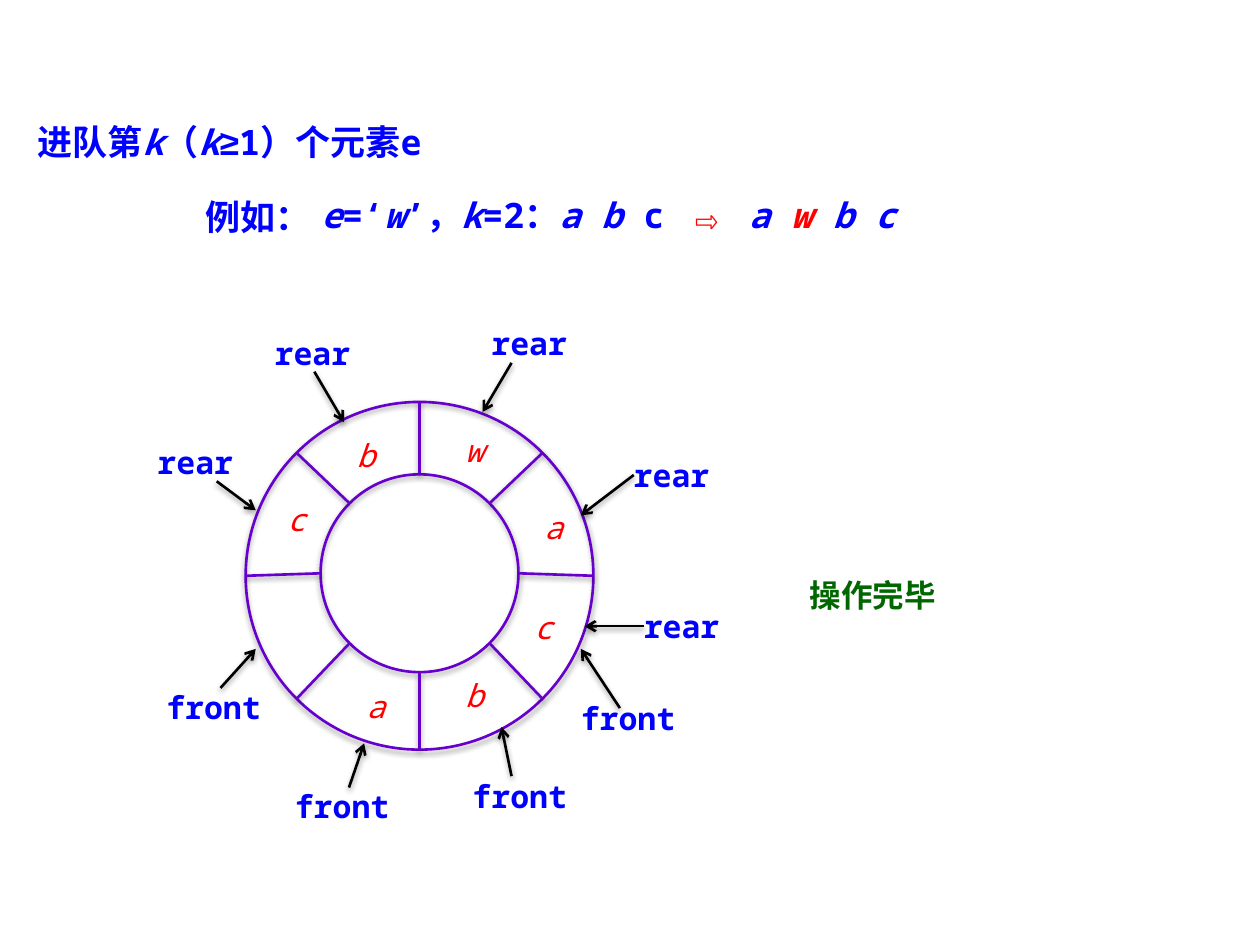
import math
from dataclasses import dataclass
from typing import Optional

import pptx
import pptx.dml.color
import pptx.enum.shapes
import pptx.enum.text
import pptx.oxml
import pptx.oxml.ns
import pptx.util

COLS, ROWS = 100, 75  # the slide as a grid of square cells


@dataclass(frozen=True)
class Theme:
    font: str = "Noto Sans Mono"
    sign: str = "Arial"
    blue: str = "0000FF"
    red: str = "FF0000"
    green: str = "006600"
    ring: str = "6600CC"
    black: str = "000000"
    white: str = "FFFFFF"
    head: float = 20
    body: float = 18
    line: float = 1.5


THEME = Theme()


@dataclass(frozen=True)
class Run:
    text: str
    color: str = THEME.blue
    size: float = THEME.head
    bold: bool = True
    slant: bool = False
    font: str = THEME.font


@dataclass(frozen=True)
class Box:
    col: float
    row: float
    wide: float
    high: float


@dataclass(frozen=True)
class Mark:
    """A pointer name, its arrow tip, and where the arrow starts:
    a side of the label to join, or a free point."""
    text: str
    col: float
    row: float
    tip: tuple[float, float]
    side: Optional[int] = None
    start: tuple[float, float] = (0, 0)


@dataclass(frozen=True)
class Cell:
    text: str
    col: float
    row: float


@dataclass(frozen=True)
class Disc:
    x: float
    y: float
    rad: float

    def point(self, turn: float) -> tuple[float, float]:
        return (self.x + self.rad * math.cos(turn),
                self.y + self.rad * math.sin(turn))


MARKS = [
    Mark("front", 13.2, 54.6, (20.3, 51.5), 0),
    Mark("rear", 51.1, 48.2, (46.4, 49.7), 1),
    Mark("rear", 50.3, 36.2, (46.1, 40.9), 1),
    Mark("rear", 39, 25.7, (38.3, 32.7), start=(40.6, 28.8)),
    Mark("rear", 21.8, 26.5, (27.3, 33.5), 2),
    Mark("front", 23.4, 62.5, (28.9, 59), 0),
    Mark("front", 37.5, 61.7, (39.8, 57.7), start=(40.6, 61.6)),
    Mark("front", 46.1, 55.5, (46.1, 51.5), start=(49.2, 56.2)),
    Mark("rear", 12.5, 35.2, (20.3, 40.5), start=(17.2, 38.2)),
]
CELLS = [
    Cell("c", 41.4, 47.8), Cell("b", 35.9, 53.2), Cell("a", 28.1, 54),
    Cell("a", 42.2, 39.8), Cell("w", 35.9, 33.7), Cell("b", 27.3, 34.1),
    Cell("c", 21.8, 39.2),
]
INNER, OUTER = Disc(33.3, 45.5, 7.85), Disc(33.3, 45.7, 13.8)
TITLE = [Run("进队第"), Run("k", slant=True), Run("（"), Run("k", slant=True),
         Run("≥", font=THEME.sign), Run("1）个元素e")]
CASE = [Run("e", slant=True), Run("=‘"), Run("w", slant=True), Run("’，"),
        Run("k", slant=True), Run("=2："), Run("a b ", slant=True), Run("c "),
        Run("⇨ ", THEME.red), Run("a ", slant=True),
        Run("w", THEME.red, slant=True), Run(" b c", slant=True)]

deck = pptx.Presentation()
deck.slide_width = pptx.util.Inches(10)
deck.slide_height = pptx.util.Inches(7.5)
slide = deck.slides.add_slide(deck.slide_layouts[6])


def across(col: float) -> int:
    return round(deck.slide_width * col / COLS)


def down(row: float) -> int:
    return round(deck.slide_height * row / ROWS)


def place(box: Box) -> tuple[int, int, int, int]:
    return across(box.col), down(box.row), across(box.wide), down(box.high)


def tint(code: str) -> pptx.dml.color.RGBColor:
    return pptx.dml.color.RGBColor.from_string(code)


def shade(shape) -> None:
    """Put a soft shadow just below the shape."""
    shape._element.spPr.append(pptx.oxml.parse_xml(
        f'<a:effectLst {pptx.oxml.ns.nsdecls("a")}>'
        '<a:outerShdw blurRad="40000" dist="20000" dir="5400000" rotWithShape="0">'
        '<a:srgbClr val="000000"><a:alpha val="38000"/></a:srgbClr>'
        '</a:outerShdw></a:effectLst>'))


def write(frame, runs: list[Run], lead: Optional[float] = None) -> None:
    para = frame.paragraphs[0]
    para.alignment = pptx.enum.text.PP_ALIGN.LEFT
    if lead:
        para.line_spacing = pptx.util.Pt(lead)
    for item in runs:
        run = para.add_run()
        run.text = item.text
        font = run.font
        font.name, font.size = item.font, pptx.util.Pt(item.size)
        font.bold, font.italic = item.bold, item.slant
        font.color.rgb = tint(item.color)


def note(box: Box, runs: list[Run], lead: Optional[float] = None) -> None:
    frame = slide.shapes.add_textbox(*place(box)).text_frame
    frame.word_wrap = True
    frame.auto_size = pptx.enum.text.MSO_AUTO_SIZE.SHAPE_TO_FIT_TEXT
    write(frame, runs, lead)


def link(start: tuple[float, float], end: tuple[float, float], color: str):
    line = slide.shapes.add_connector(
        pptx.enum.shapes.MSO_CONNECTOR.STRAIGHT,
        across(start[0]), down(start[1]), across(end[0]), down(end[1]))
    line.line.color.rgb = tint(color)
    line.line.width = pptx.util.Pt(THEME.line)
    shade(line)
    return line


def circle(disc: Disc) -> None:
    box = Box(disc.x - disc.rad, disc.y - disc.rad, 2 * disc.rad, 2 * disc.rad)
    oval = slide.shapes.add_shape(pptx.enum.shapes.MSO_SHAPE.OVAL, *place(box))
    oval.fill.background()
    oval.line.color.rgb = tint(THEME.ring)
    oval.line.width = pptx.util.Pt(THEME.line)
    shade(oval)


def point(mark: Mark) -> None:
    box = Box(mark.col, mark.row, 8.6 if mark.text == "front" else 6.3, 3)
    label = slide.shapes.add_shape(pptx.enum.shapes.MSO_SHAPE.RECTANGLE, *place(box))
    label.shadow.inherit = False
    label.fill.solid()
    label.fill.fore_color.rgb = tint(THEME.white)
    label.line.fill.background()
    frame = label.text_frame
    frame.margin_left = frame.margin_right = 0
    frame.margin_top = frame.margin_bottom = 0
    frame.vertical_anchor = pptx.enum.text.MSO_ANCHOR.TOP
    write(frame, [Run(mark.text, size=THEME.body)])
    arrow = link(mark.start, mark.tip, THEME.black)
    if mark.side is not None:
        arrow.begin_connect(label, mark.side)
    arrow.line._get_or_add_ln().append(pptx.oxml.parse_xml(
        f'<a:tailEnd {pptx.oxml.ns.nsdecls("a")} type="arrow"/>'))


note(Box(2, 9.1, 35.9, 4.4), TITLE)
note(Box(15.3, 14.5, 9.4, 4.6), [Run("例如：")], 28)
note(Box(24.5, 14.9, 58.6, 4.4), CASE)
circle(INNER)
circle(OUTER)
for step in range(8):
    turn = step * math.pi / 4
    link(INNER.point(turn), OUTER.point(turn), THEME.ring)
for mark in MARKS:
    point(mark)
for cell in CELLS:
    note(Box(cell.col, cell.row, 3.9, 4),
         [Run(cell.text, THEME.red, THEME.body, False, True)])
note(Box(63.3, 45.2, 14.1, 4), [Run("操作完毕", THEME.green, THEME.body)])
deck.save("out.pptx")
